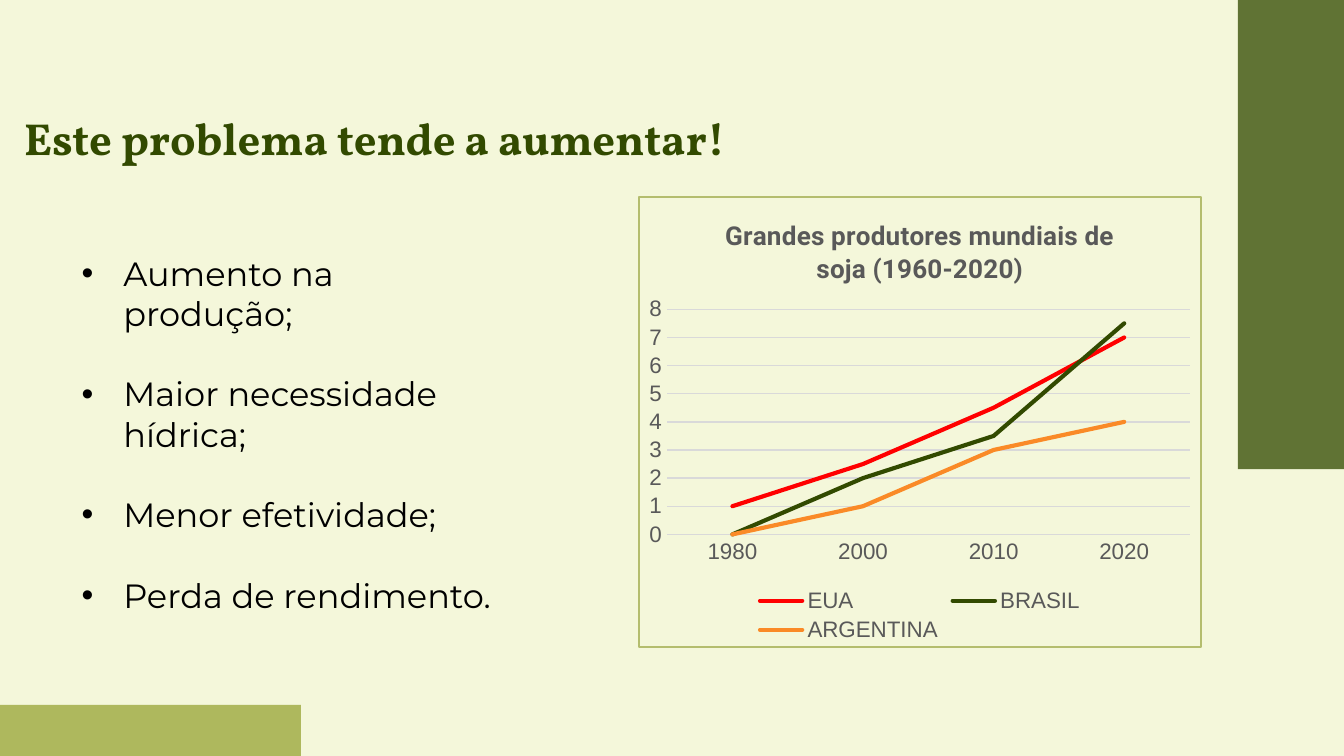
from lxml import etree
from pptx import Presentation
from pptx.chart.data import CategoryChartData
from pptx.dml.color import RGBColor
from pptx.enum.chart import XL_CHART_TYPE, XL_LEGEND_POSITION, XL_TICK_MARK
from pptx.enum.shapes import MSO_SHAPE
from pptx.enum.text import MSO_ANCHOR, PP_ALIGN
from pptx.oxml import parse_xml
from pptx.oxml.ns import nsdecls, qn
from pptx.util import Inches, Pt

LINE_CHART = XL_CHART_TYPE.LINE
LEGEND_BOTTOM = XL_LEGEND_POSITION.BOTTOM
NO_TICK = XL_TICK_MARK.NONE
RECTANGLE = MSO_SHAPE.RECTANGLE
MIDDLE = MSO_ANCHOR.MIDDLE
LEFT = PP_ALIGN.LEFT

PAGE_WIDTH = 10
PAGE_HEIGHT = PAGE_WIDTH * 9 / 16
CREAM, DARK_GREEN, OLIVE = "F4F7DA", "324A00", "7C8C03"
GRAY, GRID, BORDER, BLACK = "595959", "D9D9D9", "B4BD6E", "000000"

BULLETS = [
    "Aumento na produção;",
    "Maior necessidade hídrica;",
    "Menor efetividade;",
    "Perda de rendimento.",
]
YEARS = ["1980", "2000", "2010", "2020"]
PRODUCERS = [
    ("EUA", (1, 2.5, 4.5, 7), "FF0000"),
    ("BRASIL", (0, 2, 3.5, 7.5), DARK_GREEN),
    ("ARGENTINA", (0, 1, 3, 4), "FA8A27"),
]


def color(value):
    return RGBColor.from_string(value)


def inches(*lengths):
    return [Inches(length) for length in lengths]


def set_font(font, name, size, value, bold=False):
    font.name = name
    font.size = Pt(size)
    font.color.rgb = color(value)
    font.bold = bold


class SlideBuilder:
    def __init__(self, deck):
        self.page = deck.slides.add_slide(deck.slide_layouts[5])
        fill = self.page.background.fill
        fill.solid()
        fill.fore_color.rgb = color(CREAM)

    def block(self, place, value, opacity):
        shape = self.page.shapes.add_shape(RECTANGLE, *inches(*place))
        shape.shadow.inherit = False
        shape.fill.solid()
        shape.fill.fore_color.rgb = color(value)
        shape.line.fill.background()
        tint = shape.fill._xPr.find(qn("a:solidFill"))[0]
        etree.SubElement(tint, qn("a:alpha"), val=str(opacity * 1000))

    def title(self, place, text):
        box = self.page.shapes.title
        box.left, box.top, box.width, box.height = inches(*place)
        frame = box.text_frame
        frame.text = text
        frame.word_wrap = True
        frame.vertical_anchor = MIDDLE
        para = frame.paragraphs[0]
        para.alignment = LEFT
        set_font(para.runs[0].font, "Vollkorn", 24, DARK_GREEN, True)

    def bullets(self, place, lines):
        frame = self.page.shapes.add_textbox(*inches(*place)).text_frame
        frame.word_wrap = True
        frame.text = "\n".join(lines)
        for index, para in enumerate(frame.paragraphs):
            properties = para._p.get_or_add_pPr()
            properties.set("marL", str(Inches(0.31)))
            properties.set("indent", str(-Inches(0.31)))
            etree.SubElement(properties, qn("a:buFont"), typeface="Arial")
            etree.SubElement(properties, qn("a:buChar"), char="•")
            if index:
                para.space_before = Pt(21.5)
            set_font(para.runs[0].font, "Montserrat", 18, BLACK)

    def line_chart(self, place, title, categories, series):
        data = CategoryChartData()
        data.categories = categories
        for name, values, _ in series:
            data.add_series(name, values)
        chart = self.page.shapes.add_chart(LINE_CHART, *inches(*place), data).chart
        set_font(chart.font, "Arial", 12, GRAY)
        chart.has_title = True
        chart.chart_title.include_in_layout = False
        frame = chart.chart_title.text_frame
        frame.text = title
        set_font(frame.paragraphs[0].runs[0].font, "Roboto", 14, GRAY, True)
        chart.has_legend = True
        chart.legend.position = LEGEND_BOTTOM
        chart.legend.include_in_layout = False
        set_font(chart.legend.font, "Arial", 12, GRAY)
        self.axes(chart)
        for plotted, (_, _, value) in zip(chart.plots[0].series, series):
            plotted.smooth = False
            plotted.format.line.width = Pt(2.25)
            plotted.format.line.color.rgb = color(value)
            plotted.format.line._ln.set("cap", "rnd")
        self.chart_frame(chart)

    def axes(self, chart):
        for axis in (chart.category_axis, chart.value_axis):
            axis.major_tick_mark = NO_TICK
            axis.minor_tick_mark = NO_TICK
            set_font(axis.tick_labels.font, "Arial", 12, GRAY)
        values = chart.value_axis
        values.minimum_scale, values.maximum_scale, values.major_unit = 0, 8, 1
        values.format.line.fill.background()
        values.has_major_gridlines = True
        for item in (chart.category_axis, values.major_gridlines):
            item.format.line.width = Pt(0.75)
            item.format.line.color.rgb = color(GRID)

    def chart_frame(self, chart):
        body = chart._chartSpace.find(qn("c:chart"))
        body.addnext(parse_xml(
            f'<c:spPr {nsdecls("c", "a")}><a:noFill/><a:ln w="{Pt(0.75)}">'
            f'<a:solidFill><a:srgbClr val="{BORDER}"/></a:solidFill></a:ln></c:spPr>'
        ))
        plot_area = body.find(qn("c:plotArea"))
        for old in plot_area.findall(qn("c:layout")):
            plot_area.remove(old)
        layout = etree.Element(qn("c:layout"))
        manual = etree.SubElement(layout, qn("c:manualLayout"))
        settings = [
            ("layoutTarget", "inner"), ("xMode", "edge"), ("yMode", "edge"),
            ("x", "0.05"), ("y", "0.25"), ("w", "0.93"), ("h", "0.5"),
        ]
        for tag, value in settings:
            etree.SubElement(manual, qn(f"c:{tag}"), val=value)
        plot_area.insert(0, layout)


def main():
    deck = Presentation()
    deck.slide_width, deck.slide_height = inches(PAGE_WIDTH, PAGE_HEIGHT)
    slide = SlideBuilder(deck)
    slide.block((0, PAGE_HEIGHT - 0.38, 2.24, 0.38), OLIVE, 58)
    slide.block((PAGE_WIDTH - 0.79, 0, 0.79, 3.49), DARK_GREEN, 76)
    slide.title((0.08, 0.71, 7, 0.63), "Este problema tende a aumentar!")
    slide.line_chart(
        (4.75, 1.46, 4.19, 3.36),
        "Grandes produtores mundiais de soja (1960-2020)",
        YEARS,
        PRODUCERS,
    )
    slide.bullets((0.51, 1.83, 3.36, 2.46), BULLETS)
    deck.save("out.pptx")


if __name__ == "__main__":
    main()
